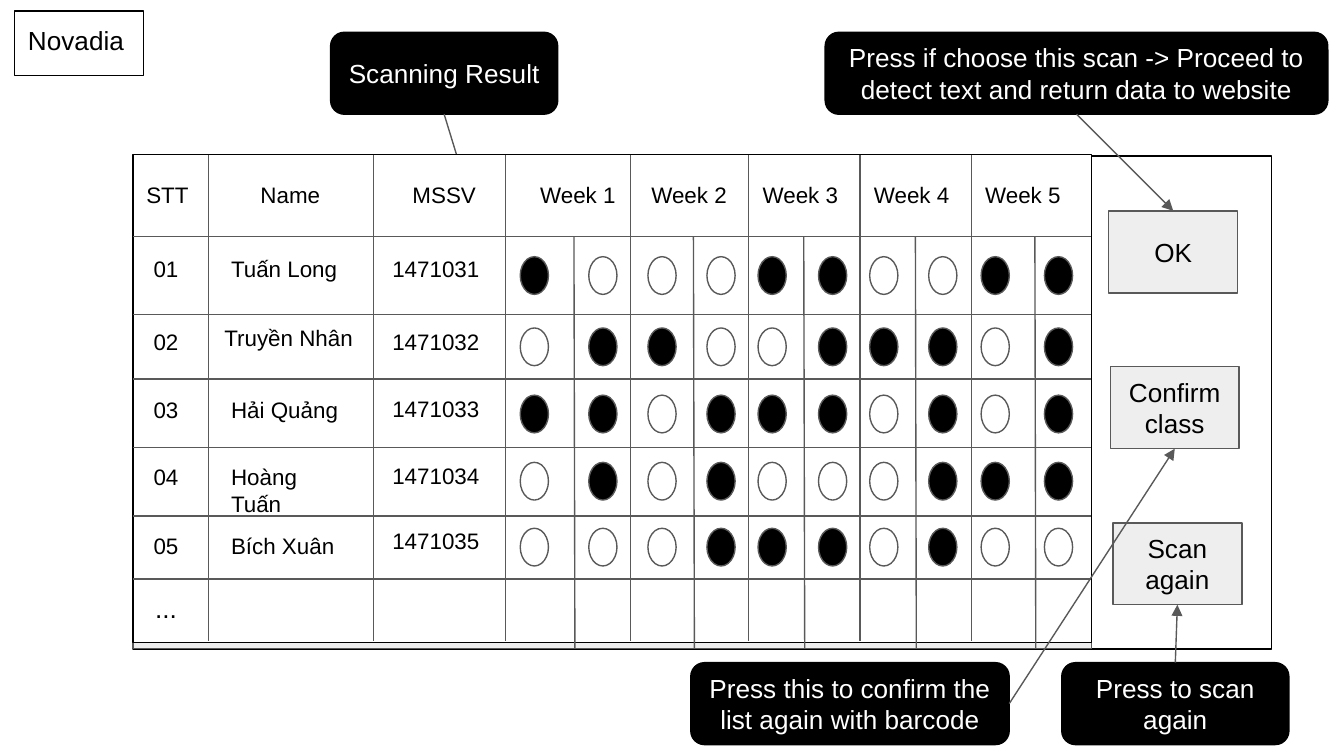
from lxml import etree
from pptx import Presentation
from pptx.dml.color import RGBColor
from pptx.enum import shapes, text
from pptx.oxml import ns
from pptx.util import Pt

COLORS = {"ink": "000000", "paper": "FFFFFF", "button": "EEEEEE", "rule": "595959"}
KIND = shapes.MSO_SHAPE
TOP, BOTTOM, RIGHT = 0, 2, 3

WEEK_STEP = 59.6
COLUMN_RULES = [40.3, 128.9, 199.4, 266.4, 329.8, 389.5, 449.3]
HALF_RULES = [236.2, 300.2, 359.3, 419.1, 483.1]
ROW_RULES = [43.9, 85.7, 120.2, 157, 193.7, 227.5]
MARK_LEFTS = [207.4, 244.1, 275.8, 307.4, 334.8, 367.2, 394.6, 426.2, 454.3, 488.2]
HEADERS = [("STT", 0, 41.8), ("Name", 61.2, 52.6), ("MSSV", 142.6, 55.4)]
HEADERS += [(f"Week {n + 1}", 211 + n * WEEK_STEP, 55.4) for n in range(5)]
STUDENTS = [
    ("01", 46.8, "Tuấn Long", 45.4, 46.8, 78.5, "1471031", 46.8, 54.7, "1000110011"),
    ("02", 85.7, "Truyền Nhân", 41.8, 83.5, 85, "1471032", 85.7, 92.9, "0110011101"),
    ("03", 122.4, "Hải Quảng", 45.4, 122.4, 78.5, "1471033", 121.7, 128.9, "1101110101"),
    ("04", 158.4, "Hoàng Tuấn", 45.4, 158.4, 78.5, "1471034", 157.7, 164.9, "0101000111"),
    ("05", 195.1, "Bích Xuân", 45.4, 195.1, 78.5, "1471035", 192.2, 200.2, "0001110100"),
]


def rgb(name):
    return RGBColor.from_string(COLORS[name])


def write(shape, words, size, color="ink", align=text.PP_ALIGN.LEFT, anchor=text.MSO_ANCHOR.TOP):
    frame = shape.text_frame
    frame.word_wrap = True
    frame.vertical_anchor = anchor
    frame.margin_left = frame.margin_right = Pt(7.2)
    frame.margin_top = frame.margin_bottom = Pt(7.2)
    paragraph = frame.paragraphs[0]
    paragraph.text = words
    paragraph.alignment = align
    paragraph.font.name = "Arial"
    paragraph.font.size = Pt(size)
    paragraph.font.color.rgb = rgb(color)


def add_box(slide, kind, box, fill, line):
    shape = slide.shapes.add_shape(kind, *map(Pt, box))
    shape.shadow.inherit = False
    if fill:
        shape.fill.solid()
        shape.fill.fore_color.rgb = rgb(fill)
    else:
        shape.fill.background()
    shape.line.color.rgb = rgb(line)
    shape.line.width = Pt(0.75)
    return shape


def add_label(slide, words, box, size=12, align=text.PP_ALIGN.LEFT):
    write(slide.shapes.add_textbox(*map(Pt, box)), words, size, align=align)


def add_rule(slide, x1, y1, x2, y2):
    rule = slide.shapes.add_connector(shapes.MSO_CONNECTOR.STRAIGHT, *map(Pt, (x1, y1, x2, y2)))
    rule.line.color.rgb = rgb("rule")
    rule.line.width = Pt(0.75)
    etree.SubElement(rule._element.spPr, ns.qn("a:effectLst"))
    return rule


def add_arrow(slide, start, site, end=(0, 0), target=None, target_site=TOP):
    arrow = add_rule(slide, 0, 0, *end)
    arrow.begin_connect(start, site)
    if target is not None:
        arrow.end_connect(target, target_site)
    etree.SubElement(arrow._element.spPr.get_or_add_ln(), ns.qn("a:tailEnd"), type="triangle")


def add_button(slide, words, box):
    button = add_box(slide, KIND.RECTANGLE, box, "button", "rule")
    write(button, words, 14, align=text.PP_ALIGN.CENTER, anchor=text.MSO_ANCHOR.MIDDLE)
    return button


def add_callout(slide, words, box):
    callout = add_box(slide, KIND.ROUNDED_RECTANGLE, box, "ink", "ink")
    write(callout, words, 14, "paper", text.PP_ALIGN.CENTER, text.MSO_ANCHOR.MIDDLE)
    return callout


def add_student(slide, left, top, student):
    number, number_y, name, name_x, name_y, name_width, code, code_y, mark_y, marks = student
    add_label(slide, number, (left, top + number_y, 35.3, 33.8), align=text.PP_ALIGN.CENTER)
    add_label(slide, name, (left + name_x, top + name_y, name_width, 33.8))
    add_label(slide, code, (left + 131.8, top + code_y, 64.8, 33.8))
    for x, mark in zip(MARK_LEFTS, marks):
        fill = "ink" if mark == "1" else "paper"
        add_box(slide, KIND.OVAL, (left + x, top + mark_y, 15.1, 20.2), fill, "rule")


def add_attendance(slide, box):
    left, top, width, height = box
    add_box(slide, KIND.RECTANGLE, box, "paper", "ink")
    for x in COLUMN_RULES:
        add_rule(slide, left + x, top, left + x, top + height - 0.7)
    for y in ROW_RULES:
        add_rule(slide, left, top + y, left + width, top + y)
    for x in HALF_RULES:
        add_rule(slide, left + x, top + ROW_RULES[0], left + x + 0.5, top + height + 2.9)
    for words, x, label_width in HEADERS:
        add_label(slide, words, (left + x, top + 7.2, label_width, 33.8))
    for student in STUDENTS:
        add_student(slide, left, top, student)
    add_label(slide, "...", (left, top + ROW_RULES[-1], 35.3, 33.8), 14, text.PP_ALIGN.CENTER)


def add_screen(slide, box):
    left, top, width, height = box
    add_box(slide, KIND.RECTANGLE, box, "paper", "ink")
    add_box(slide, KIND.RECTANGLE, (left, top + 0.5, 513.4, height - 0.6), "button", "rule")
    add_rule(slide, left + 513.4, top + 0.5, left + 513.4, top + height)
    result = add_callout(slide, "Scanning Result", (177.1, 17.3, 121.7, 43.9))
    add_arrow(slide, result, BOTTOM, (266.4, 154.1))
    add_attendance(slide, (left, top - 0.7, 513.4, 261.4))
    return [
        add_button(slide, words, (left + x, top + y, 69.1, 43.9))
        for words, x, y in [("OK", 522.7, 29.5), ("Confirm class", 523.5, 113), ("Scan again", 524.9, 196.6)]
    ]


def add_wireframe(slide):
    platform = add_box(slide, KIND.RECTANGLE, (7.9, 5.8, 69.1, 34.6), None, "ink")
    write(platform, "Novadia", 14)
    ok, confirm, rescan = add_screen(slide, (71.3, 83.5, 609.8, 264.2))
    choose = "Press if choose this scan -> Proceed to detect text and return data to website"
    check = "Press this to confirm the list again with barcode"
    for words, box, site, button, button_site in [
        (choose, (442.1, 17.3, 269.3, 43.9), BOTTOM, ok, TOP),
        (check, (370.1, 355, 170.6, 43.9), RIGHT, confirm, BOTTOM),
        ("Press to scan again", (568.8, 355, 121.7, 43.9), TOP, rescan, BOTTOM),
    ]:
        callout = add_callout(slide, words, box)
        add_arrow(slide, callout, site, target=button, target_site=button_site)


deck = Presentation()
deck.slide_width, deck.slide_height = Pt(720), Pt(405)
add_wireframe(deck.slides.add_slide(deck.slide_layouts[6]))
deck.save("out.pptx")
